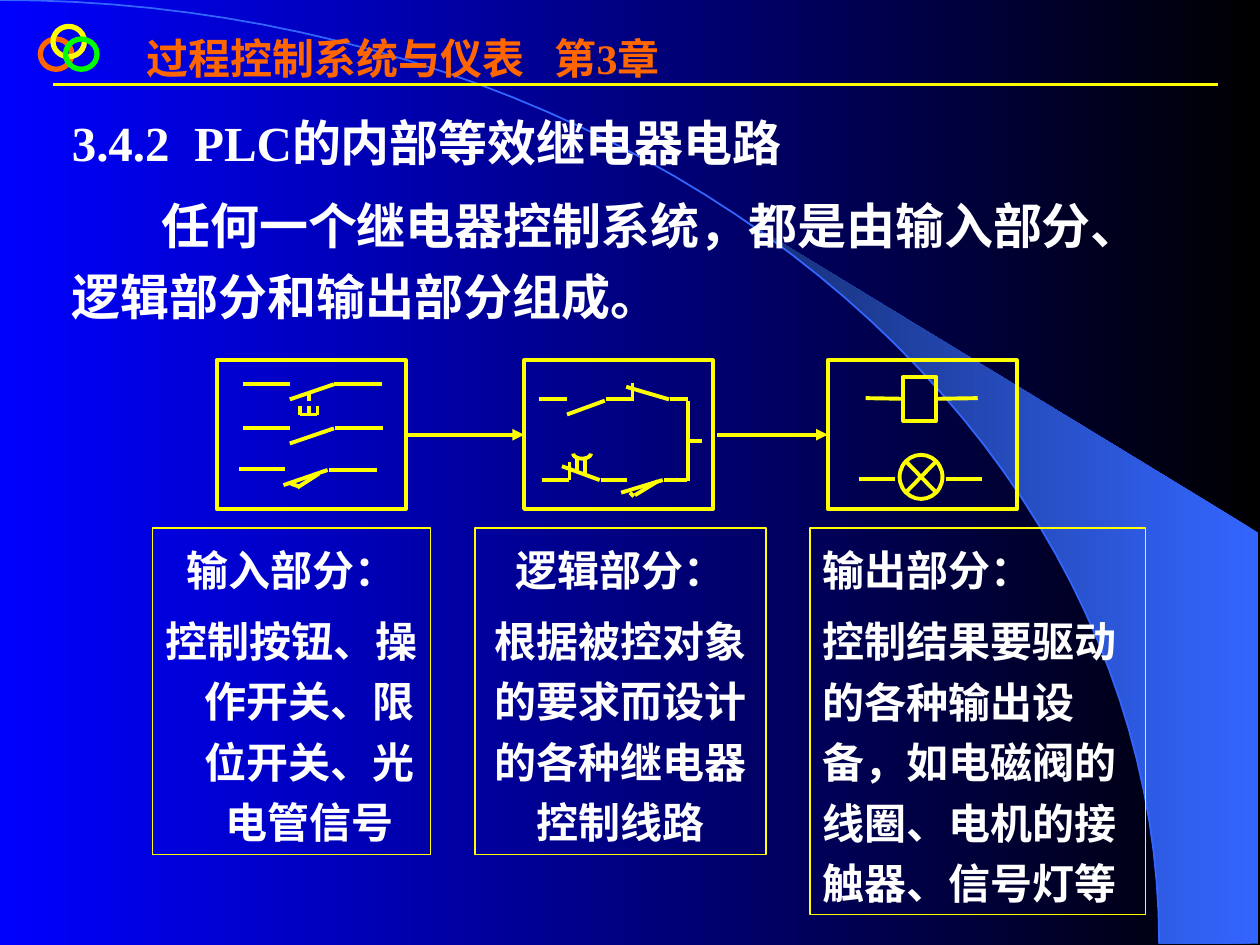
from math import cos, pi, sin

from lxml.etree import SubElement
from pptx import Presentation
from pptx.dml.color import RGBColor
from pptx.enum.shapes import MSO_CONNECTOR as Link, MSO_SHAPE as Kind
from pptx.enum.text import MSO_ANCHOR as Anchor, MSO_AUTO_SIZE as Fit, PP_ALIGN as Align
from pptx.oxml.ns import qn
from pptx.util import Pt

SCALE = 9144
FONT = "Times New Roman"
YELLOW = "FFFF00"
WHITE = "FFFFFF"

INPUT_WIRES = [
    (193, 305, 230, 305), (265, 305, 303, 305), (265, 305, 230, 317),
    (193, 340, 230, 340), (266, 340, 304, 340), (265, 340, 230, 352),
    (190, 372, 226, 372), (261, 373, 299, 373), (260, 373, 225, 385),
    (236, 387, 253, 376), (231, 384, 237, 386), (245, 313, 245, 318),
    (245, 322, 245, 329), (238, 329, 252, 329), (252, 322, 252, 329),
    (238, 322, 238, 329),
]
LOGIC_WIRES = [
    (428, 317, 450, 317), (532, 317, 546, 317), (481, 317, 503, 317),
    (480, 318, 450, 329), (502, 317, 502, 304), (531, 317, 497, 307),
    (430, 381, 452, 381), (477, 381, 498, 381), (527, 381, 545, 381),
    (504, 393, 522, 382), (526, 381, 493, 391), (500, 391, 503, 394),
    (452, 367, 452, 381), (476, 381, 446, 370), (458, 364, 458, 373),
    (464, 364, 464, 375), (546, 318, 546, 382), (546, 350, 557, 350),
]
LAMP_WIRES = [(751, 380, 779, 380), (682, 380, 710, 380)]


def px(n):
    return round(n * SCALE)


def rgb(code):
    return RGBColor.from_string(code)


def blend(fill, first, last):
    fill.gradient()
    fill.gradient_angle = 180
    for stop, code in zip(fill.gradient_stops, (first, last)):
        stop.color.rgb = rgb(code)


def stroke(item, code=YELLOW, width=2.25):
    item.line.color.rgb = rgb(code)
    item.line.width = Pt(width)


def shape(slide, kind, box, code=YELLOW, width=2.25):
    item = slide.shapes.add_shape(kind, *map(px, box))
    item.shadow.inherit = False
    item.fill.background()
    stroke(item, code, width)
    return item


def wire(slide, ends, code=YELLOW, width=2.25, start=None, stop=None, arrow=False):
    item = slide.shapes.add_connector(Link.STRAIGHT, *map(px, ends))
    stroke(item, code, width)
    if arrow:
        SubElement(item.line._get_or_add_ln(), qn("a:tailEnd"), type="triangle")
    SubElement(item._element.spPr, qn("a:effectLst"))
    if start:
        item.begin_connect(*start)
    if stop:
        item.end_connect(*stop)
    return item


def arc(mid, radii, begin, end, steps=48):
    turns = [begin + (end - begin) * i / steps for i in range(steps + 1)]
    return [(mid[0] + radii[0] * sin(t), mid[1] - radii[1] * cos(t)) for t in turns]


def outline(slide, points, closed=False):
    dots = [(px(x), px(y)) for x, y in points]
    pen = slide.shapes.build_freeform(*dots[0])
    pen.add_line_segments(dots[1:], close=closed)
    item = pen.convert_to_shape()
    item.shadow.inherit = False
    item.fill.background()
    return item


def add_run(para, text, size, code, track=0):
    run = para.add_run()
    run.text = text
    run.font.name = FONT
    run.font.size = Pt(size)
    run.font.bold = True
    run.font.color.rgb = rgb(code)
    if track:
        run.font._element.set("spc", str(track * 100))


def write(item, lines, size=24, code=WHITE, align=Align.LEFT, anchor=Anchor.TOP,
          space=1.0, gap=0, left=0, firsts=None, track=0):
    frame = item.text_frame
    frame.word_wrap = True
    frame.auto_size = Fit.NONE
    frame.vertical_anchor = anchor
    firsts = firsts or [0] * len(lines)
    for i, (line, first) in enumerate(zip(lines, firsts)):
        para = frame.paragraphs[0] if i == 0 else frame.add_paragraph()
        para.alignment = align
        para.line_spacing = space
        para.space_before = Pt(gap if i else 0)
        prop = para._p.get_or_add_pPr()
        prop.set("marL", str(px(left)))
        prop.set("indent", str(px(first)))
        prop.set("hangingPunct", "0")
        SubElement(prop, qn("a:buNone"))
        head, blank, rest = line.partition(" ")
        add_run(para, head, size, code)
        if blank:
            add_run(para, blank, size, code, track)
            add_run(para, rest, size, code)


def place(slide, item, box):
    item.left, item.top, item.width, item.height = map(px, box)
    slide.shapes._spTree.append(item._element)


def scene(slide):
    blend(slide.background.fill, "000000", "0000FF")
    mid, radii = (0, 749), (920, 749)
    glow = outline(slide, arc(mid, radii, 0.695, pi / 2) + [(999, 749), (999, 423)], True)
    blend(glow.fill, "3366FF", "172F75")
    glow.line.fill.background()
    stroke(outline(slide, arc(mid, radii, 0, pi / 2)), "3366FF", 1)
    wire(slide, (42, 67, 967, 67), width=1.5)
    for x, y, code in ((32, 31, "FF6600"), (42, 21, YELLOW), (52, 31, "00FF00")):
        shape(slide, Kind.OVAL, (x, y, 25, 24), code, 3)


def words(slide):
    title, body = list(slide.placeholders)
    place(slide, title, (106, 21, 449, 90))
    write(title, ["过程控制系统与仪表 第3章"], code="FF6600", track=12)
    place(slide, body, (47, 75, 901, 188))
    write(body, ["3.4.2 PLC的内部等效继电器电路",
                 "任何一个继电器控制系统，都是由输入部分、逻辑部分和输出部分组成。"],
          size=28, anchor=Anchor.MIDDLE, space=1.2, gap=7, firsts=[0, 71], track=7)


def notes(slide):
    center = {"align": Align.CENTER}
    cards = [
        ((643, 419, 266, 307), "输出部分：",
         "控制结果要驱动的各种输出设备，如电磁阀的线圈、电机的接触器、信号灯等",
         {"anchor": Anchor.MIDDLE}),
        ((377, 419, 231, 259), "逻辑部分：",
         "根据被控对象的要求而设计的各种继电器控制线路", center),
        ((121, 419, 221, 259), "输入部分：",
         "控制按钮、操作开关、限位开关、光电管信号",
         {**center, "left": 29, "firsts": [-29, -29]}),
    ]
    for box, head, text, form in cards:
        card = shape(slide, Kind.RECTANGLE, box, width=0.75)
        write(card, [head, text], space=1.2, gap=6, **form)


def circuit(slide):
    source, logic, output = [
        shape(slide, Kind.RECTANGLE, (x, 286, 150, 118)) for x in (172, 416, 657)]
    for ends in INPUT_WIRES + LOGIC_WIRES + LAMP_WIRES:
        wire(slide, ends)
    stroke(outline(slide, arc((462, 360), (7, 4), pi / 2, 3 * pi / 2, 16)))
    coil = shape(slide, Kind.RECTANGLE, (717, 299, 26, 35))
    shape(slide, Kind.FLOWCHART_SUMMING_JUNCTION, (714, 361, 34, 35))
    wire(slide, (743, 316, 776, 316), start=(coil, 3))
    wire(slide, (687, 316, 717, 316), stop=(coil, 1))
    wire(slide, (322, 345, 416, 345), start=(source, 3), stop=(logic, 1), arrow=True)
    wire(slide, (569, 345, 657, 345), stop=(output, 1), arrow=True)


def main():
    deck = Presentation()
    deck.slide_width, deck.slide_height = px(1000), px(750)
    slide = deck.slides.add_slide(deck.slide_layouts[1])
    scene(slide)
    words(slide)
    notes(slide)
    circuit(slide)
    deck.save("out.pptx")


if __name__ == "__main__":
    main()
